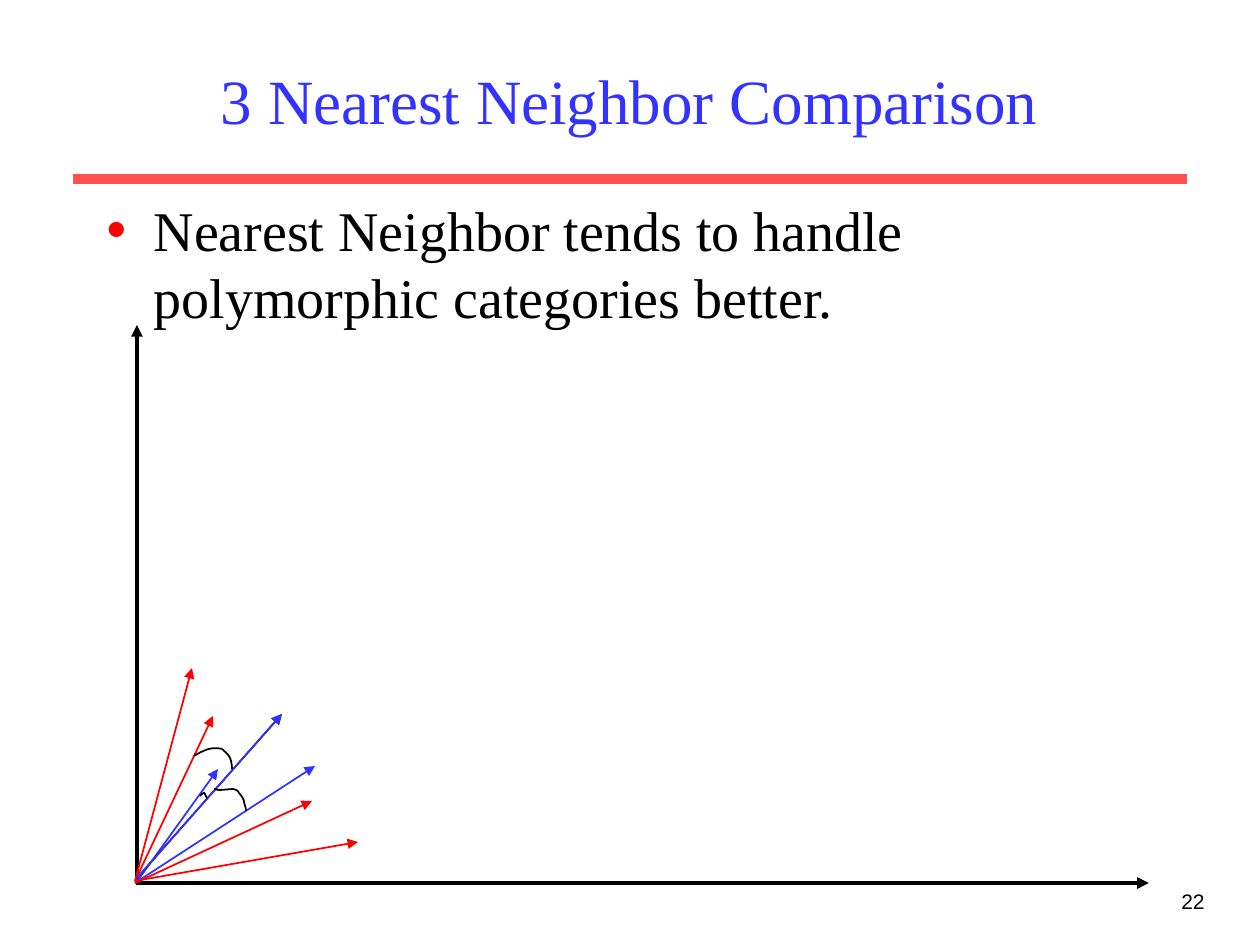
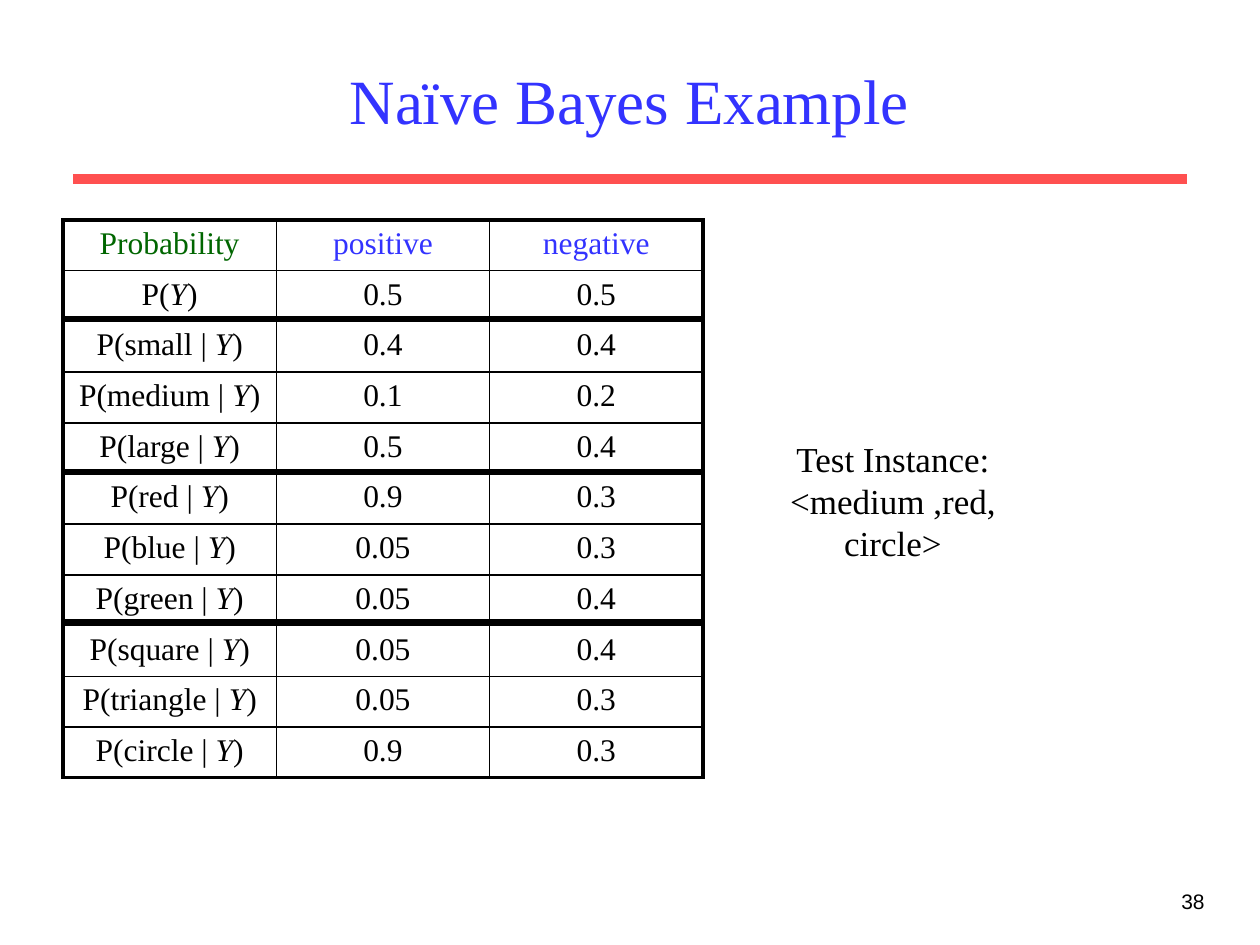
from dataclasses import dataclass
from typing import Any

import lxml.etree
import pptx
import pptx.dml.color
import pptx.enum.shapes
import pptx.enum.text
import pptx.oxml
import pptx.oxml.ns
import pptx.util

SCALE = 914400 / 126
HUES = {"black": "000000", "blue": "3333FF", "red": "FF0000",
        "rule": "FF5050", "green": "006600"}
SERIF, SANS = "Times New Roman", "Arial"
ALIGN = pptx.enum.text.PP_ALIGN
Point = tuple[int, int]


@dataclass
class Box:
    left: int
    top: int
    width: int
    height: int

    def emu(self) -> list[int]:
        return [px(n) for n in (self.left, self.top, self.width, self.height)]


@dataclass
class Line:
    start: Point
    end: Point
    hue: str = "black"
    width: float = 1
    arrow: bool = True


@dataclass
class Curve:
    """A start point and Bezier bows of three points each."""
    start: Point
    bows: list[tuple[Point, Point, Point]]


TITLE = Box(94, 31, 1071, 137)
BODY = Box(94, 189, 1071, 646)
PAGE = Box(955, 882, 262, 63)
GRID = Box(63, 220, 640, 558)
NOTE = Box(779, 431, 335, 97)
RULE = Line((73, 179), (1187, 179), "rule", 6, False)

AXES = [Line((137, 882), (137, 325), width=2.25),
        Line((136, 883), (1149, 883), width=2.25)]
RAYS = [
    Line((135, 881), (192, 668), "red"),
    Line((135, 881), (213, 716), "red"),
    Line((136, 883), (218, 769), "blue"),
    Line((135, 883), (315, 766), "blue"),
    Line((135, 883), (312, 801), "red"),
    Line((135, 881), (358, 842), "red"),
    Line((137, 878), (282, 714), "black"),
    Line((137, 878), (282, 714), "blue"),
]
ARCS = [
    Curve((200, 796), [((202, 794), (203, 793), (204, 793)),
                       ((205, 793), (205, 795), (207, 798))]),
    Curve((214, 789), [((216, 789), (217, 790), (219, 790)),
                       ((223, 790), (231, 789), (233, 789)),
                       ((237, 790), (238, 791), (239, 793)),
                       ((241, 795), (243, 798), (244, 801)),
                       ((244, 804), (246, 807), (246, 811))]),
    Curve((194, 756), [((199, 753), (205, 750), (209, 749)),
                       ((214, 748), (218, 748), (222, 749)),
                       ((224, 751), (227, 753), (229, 756)),
                       ((231, 759), (232, 764), (232, 769))]),
]

HEAD = ("Probability", "positive", "negative")
ODDS = [
    ("", "0.5", "0.5"),
    ("small", "0.4", "0.4"),
    ("medium", "0.1", "0.2"),
    ("large", "0.5", "0.4"),
    ("red", "0.9", "0.3"),
    ("blue", "0.05", "0.3"),
    ("green", "0.05", "0.4"),
    ("square", "0.05", "0.4"),
    ("triangle", "0.05", "0.3"),
    ("circle", "0.9", "0.3"),
]
BARS = [Line((left, top), (left + GRID.width, top), width=3, arrow=False)
        for left, top in ((62, 319), (63, 472), (61, 622))]


def px(num: float) -> int:
    return round(num * SCALE)


def rgb(hue: str) -> pptx.dml.color.RGBColor:
    return pptx.dml.color.RGBColor.from_string(HUES[hue])


def style(para: Any, size: int, hue: str = "black", face: str = SERIF,
          align: Any = ALIGN.CENTER) -> None:
    para.alignment = align
    para.font.size = pptx.util.Pt(size)
    para.font.name = face
    para.font.color.rgb = rgb(hue)


def place(shape: Any, box: Box) -> None:
    shape.left, shape.top, shape.width, shape.height = box.emu()


def draw(shapes: Any, line: Line) -> None:
    ends = [px(n) for n in (*line.start, *line.end)]
    link = shapes.add_connector(pptx.enum.shapes.MSO_CONNECTOR.STRAIGHT, *ends)
    link.line.color.rgb = rgb(line.hue)
    link.line.width = pptx.util.Pt(line.width)
    props = link._element.spPr
    if line.arrow:
        stroke = props.find(pptx.oxml.ns.qn("a:ln"))
        tip = lxml.etree.SubElement(stroke, pptx.oxml.ns.qn("a:tailEnd"))
        tip.set("type", "triangle")
    lxml.etree.SubElement(props, pptx.oxml.ns.qn("a:effectLst"))


def bend(shapes: Any, curve: Curve, steps: int = 8) -> None:
    """Draw a curve as an open outline of short chords."""
    last, dots = curve.start, []
    for one, two, end in curve.bows:
        for step in range(1, steps + 1):
            t = step / steps
            u = 1 - t
            dots.append(tuple(
                px(u**3 * a + 3 * u * u * t * b + 3 * u * t * t * c + t**3 * d)
                for a, b, c, d in zip(last, one, two, end)))
        last = end
    pen = shapes.build_freeform(*(px(n) for n in curve.start))
    pen.add_line_segments(dots, close=False)
    arc = pen.convert_to_shape()
    arc.fill.background()
    arc.line.color.rgb = rgb("black")
    arc.line.width = pptx.util.Pt(1)
    arc.shadow.inherit = False


def start(deck: Any, layout: int, title: str, page: str) -> Any:
    """Add a slide with the shared title, rule and page number."""
    slide = deck.slides.add_slide(deck.slide_layouts[layout])
    draw(slide.shapes, RULE)
    head = slide.shapes.title
    place(head, TITLE)
    head.text_frame.text = title
    head.text_frame.vertical_anchor = pptx.enum.text.MSO_ANCHOR.MIDDLE
    style(head.text_frame.paragraphs[0], 36, "blue")
    foot = slide.shapes.add_textbox(*PAGE.emu()).text_frame
    foot.word_wrap = True
    foot.text = page
    style(foot.paragraphs[0], 12, face=SANS, align=ALIGN.RIGHT)
    return slide


def bullet(para: Any) -> None:
    props = para._p.get_or_add_pPr()
    props.set("marL", str(px(47)))
    props.set("indent", str(-px(47)))
    space = pptx.oxml.ns.nsdecls("a")
    mark = [f'<a:buClr {space}><a:srgbClr val="{HUES["red"]}"/></a:buClr>',
            f'<a:buChar {space} char="•"/>']
    tail = props.find(pptx.oxml.ns.qn("a:defRPr"))
    for xml in mark:
        tail.addprevious(pptx.oxml.parse_xml(xml))


def edge(cell: Any, sides: dict[str, float]) -> None:
    """Set cell borders, in points, keyed L, R, T, B in that order."""
    props = cell._tc.get_or_add_tcPr()
    for spot, (side, width) in enumerate(sides.items()):
        props.insert(spot, pptx.oxml.parse_xml(
            f'<a:ln{side} {pptx.oxml.ns.nsdecls("a")} w="{pptx.util.Pt(width)}">'
            f'<a:solidFill><a:srgbClr val="{HUES["black"]}"/></a:solidFill>'
            f'</a:ln{side}>'))


def fill(cell: Any, text: str, hue: str, odds: bool) -> None:
    """Write a cell; an odds label gets P( ) around it and an italic Y."""
    para = cell.text_frame.paragraphs[0]
    style(para, 18, hue)
    if odds:
        para.add_run().text = f"P({text} | " if text else "P("
        sign = para.add_run()
        sign.text = "Y"
        sign.font.italic = True
        para.add_run().text = ")"
    else:
        para.add_run().text = text
    cell.fill.background()


def chart_odds(slide: Any) -> None:
    rows = [HEAD, *ODDS]
    high, wide = len(rows), len(HEAD)
    table = slide.shapes.add_table(high, wide, *GRID.emu()).table
    table.first_row = table.horz_banding = False
    for col in table.columns:
        col.width = px(GRID.width) // wide
    for r, row in enumerate(rows):
        table.rows[r].height = px(GRID.height) // high
        for c, text in enumerate(row):
            cell = table.cell(r, c)
            hue = "black" if r else "blue" if c else "green"
            fill(cell, text, hue, r > 0 and c == 0)
            outer = {"L": c == 0, "R": c == wide - 1,
                     "T": r == 0, "B": r == high - 1}
            edge(cell, {k: 2.25 if v else 1 for k, v in outer.items()})


def neighbor(deck: Any) -> None:
    slide = start(deck, 1, "3 Nearest Neighbor Comparison", "22")
    body = slide.placeholders[1]
    place(body, BODY)
    body.text_frame.text = ("Nearest Neighbor tends to handle "
                            "polymorphic categories better.")
    para = body.text_frame.paragraphs[0]
    style(para, 32, align=ALIGN.LEFT)
    bullet(para)
    axes = slide.shapes.add_group_shape().shapes
    for line in AXES:
        draw(axes, line)
    for ray in RAYS:
        draw(slide.shapes, ray)
    arcs = slide.shapes.add_group_shape().shapes
    for arc in ARCS:
        bend(arcs, arc)


def bayes(deck: Any) -> None:
    slide = start(deck, 5, "Naïve Bayes Example", "38")
    chart_odds(slide)
    for bar in BARS:
        draw(slide.shapes, bar)
    note = slide.shapes.add_textbox(*NOTE.emu()).text_frame
    note.word_wrap = True
    note.margin_left, note.margin_right = px(6), px(113)
    note.text = "Test Instance:\n<medium ,red, circle>"
    for para in note.paragraphs:
        style(para, 20)


def main() -> None:
    deck = pptx.Presentation()
    deck.slide_width, deck.slide_height = px(1260), px(945)
    neighbor(deck)
    bayes(deck)
    deck.save("out.pptx")


if __name__ == "__main__":
    main()
